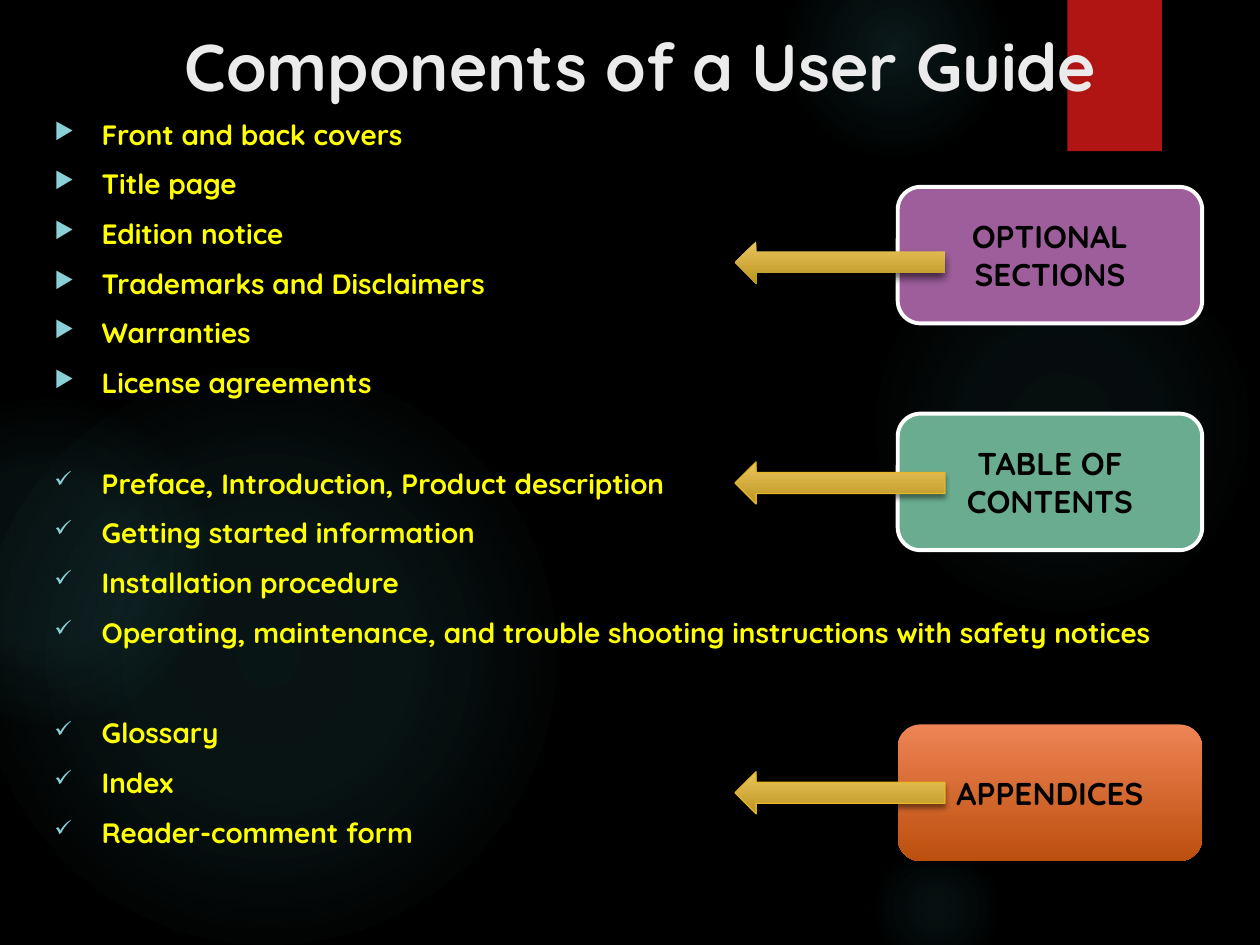
from dataclasses import dataclass

from lxml import etree
from pptx import Presentation
from pptx.dml.color import RGBColor
from pptx.enum.shapes import MSO_SHAPE
from pptx.enum.text import MSO_ANCHOR, MSO_AUTO_SIZE, PP_ALIGN
from pptx.oxml import parse_xml
from pptx.oxml.ns import nsdecls, qn
from pptx.util import Pt

OVAL = MSO_SHAPE.OVAL
RECTANGLE = MSO_SHAPE.RECTANGLE
ROUNDED = MSO_SHAPE.ROUNDED_RECTANGLE
LEFT_ARROW = MSO_SHAPE.LEFT_ARROW
CENTER = PP_ALIGN.CENTER
MIDDLE = MSO_ANCHOR.MIDDLE
NO_AUTOFIT = MSO_AUTO_SIZE.NONE


@dataclass(frozen=True)
class Theme:
    """Colours, type sizes and font of the slide."""
    font: str = "Quicksand"
    background: str = "000000"
    glow: str = "50B9C1"
    ribbon: str = "B01513"
    title: str = "EBEBEB"
    item: str = "FFFF00"
    bullet: str = "8AD0D6"
    label: str = "000000"
    outline: str = "FFFFFF"
    purple: str = "9E5E9B"
    green: str = "6AAC90"
    orange: tuple = ("EE8455", "BC4F0E")
    gold: tuple = ("EBC65F", "BB941F")
    gold_line: str = "E6B729"
    title_size: float = 37.8
    item_size: float = 16
    label_size: float = 18


THEME = Theme()
LINE_PITCH = 29.2
ITEM_GAP = 9.2
INDENT = 27
SOFT_SHADOW = (45, 3, 2)
DEEP_SHADOW = (60, 5, 3)

GLOWS = [
    (496, 132, 222, [(0, 7), (36, 6), (69, 0)]),
    (448, -36, 126, [(0, 14), (36, 7), (73, 0)]),
    (496, 480, 78, [(0, 9), (36, 5), (66, 0)]),
    (-12, 210, 330, [(0, 11), (36, 10), (75, 0)]),
    (-66, 228, 186, [(0, 8), (36, 8), (72, 0)]),
]
GROUPS = [
    ("▶", ["Front and back covers", "Title page", "Edition notice",
           "Trademarks and Disclaimers", "Warranties", "License agreements"]),
    ("✓", ["Preface, Introduction, Product description",
           "Getting started information", "Installation procedure",
           "Operating, maintenance, and trouble shooting instructions with safety notices"]),
    ("✓", ["Glossary", "Index", "Reader-comment form"]),
]
SECTIONS = [
    ("OPTIONAL SECTIONS", 106.8, THEME.purple, THEME.outline, None),
    ("TABLE OF CONTENTS", 236.4, THEME.green, THEME.outline, None),
    ("APPENDICES", 414, THEME.orange, None, DEEP_SHADOW),
]
ARROWS = [
    (138, None, DEEP_SHADOW),
    (264, THEME.gold_line, SOFT_SHADOW),
    (441, THEME.gold_line, SOFT_SHADOW),
]


def rgb(value):
    """Return a colour object for a hex value."""
    return RGBColor.from_string(value)


def set_font(paragraph, size, color):
    """Give a paragraph the bold slide font."""
    font = paragraph.font
    font.name, font.size, font.bold = THEME.font, Pt(size), True
    font.color.rgb = rgb(color)


def set_gradient(shape, stops, direction):
    """Fill a shape with (position, colour, opacity) stops in percent."""
    marks = "".join(
        f'<a:gs pos="{position * 1000}"><a:srgbClr val="{color}">'
        f'<a:alpha val="{opacity * 1000}"/></a:srgbClr></a:gs>'
        for position, color, opacity in stops)
    gradient = parse_xml(
        f'<a:gradFill {nsdecls("a")} rotWithShape="1"><a:gsLst>{marks}</a:gsLst>'
        f'{direction}</a:gradFill>')
    shape.fill.background()
    properties = shape._element.spPr
    properties.replace(properties.find(qn("a:noFill")), gradient)


def set_shadow(shape, opacity, blur, distance):
    """Add a black shadow that falls straight down."""
    effects = shape._element.spPr.find(qn("a:effectLst"))
    effects.append(parse_xml(
        f'<a:outerShdw {nsdecls("a")} blurRad="{Pt(blur)}" dist="{Pt(distance)}" '
        f'dir="5400000" rotWithShape="0"><a:srgbClr val="000000">'
        f'<a:alpha val="{opacity * 1000}"/></a:srgbClr></a:outerShdw>'))


def add_panel(slide, kind, box, fill, line=None, line_width=0.75, shadow=None):
    """Add a preset shape with a plain or two-colour vertical fill."""
    shape = slide.shapes.add_shape(kind, *map(Pt, box))
    shape.shadow.inherit = False
    if isinstance(fill, tuple):
        set_gradient(shape, [(0, fill[0], 100), (100, fill[1], 100)],
                     '<a:lin ang="5400000" scaled="0"/>')
    else:
        shape.fill.solid()
        shape.fill.fore_color.rgb = rgb(fill)
    if line:
        shape.line.color.rgb = rgb(line)
        shape.line.width = Pt(line_width)
    else:
        shape.line.fill.background()
    if shadow:
        set_shadow(shape, *shadow)
    return shape


def add_glow(slide, left, top, size, stops):
    """Add a faint round light that fades to its edge."""
    glow = add_panel(slide, OVAL, (left, top, size, size), THEME.glow)
    set_gradient(glow, [(position, THEME.glow, opacity) for position, opacity in stops],
                 '<a:path path="circle"><a:fillToRect l="50000" t="50000" '
                 'r="50000" b="50000"/></a:path>')


def place_title(slide, text):
    """Format the title placeholder and bring it above the backdrop."""
    title = slide.shapes.title
    slide.shapes._spTree.append(title._element)
    title.left, title.top, title.width, title.height = map(Pt, (42, 12, 648, 50.4))
    frame = title.text_frame
    frame.text = text
    frame.auto_size, frame.vertical_anchor = NO_AUTOFIT, MIDDLE
    frame.paragraphs[0].alignment = CENTER
    set_font(frame.paragraphs[0], THEME.title_size, THEME.title)


def set_bullet(paragraph, symbol):
    """Give a paragraph a hanging coloured bullet."""
    properties = paragraph._p.get_or_add_pPr()
    properties.set("marL", str(Pt(INDENT)))
    properties.set("indent", str(-Pt(INDENT)))
    color = etree.SubElement(properties, qn("a:buClr"))
    etree.SubElement(color, qn("a:srgbClr"), val=THEME.bullet)
    etree.SubElement(properties, qn("a:buSzPct"), val="80000")
    etree.SubElement(properties, qn("a:buChar"), char=symbol)


def add_component_list(slide):
    """Add the bulleted groups, one line apart from each other."""
    frame = slide.shapes.add_textbox(*map(Pt, (24, 63.4, 666, 458.6))).text_frame
    frame.word_wrap = True
    paragraph = frame.paragraphs[0]
    for group, (symbol, items) in enumerate(GROUPS):
        for row, item in enumerate(items):
            if group or row:
                paragraph = frame.add_paragraph()
                paragraph.space_before = Pt(ITEM_GAP if row else ITEM_GAP + LINE_PITCH)
            paragraph.text = item
            set_bullet(paragraph, symbol)
            set_font(paragraph, THEME.item_size, THEME.item)


def add_section(slide, text, top, fill, line, shadow):
    """Add a rounded section label."""
    shape = add_panel(slide, ROUNDED, (513, top, 174, 78), fill, line, 2.25, shadow)
    frame = shape.text_frame
    frame.word_wrap, frame.vertical_anchor = True, MIDDLE
    frame.text = text
    frame.paragraphs[0].alignment = CENTER
    set_font(frame.paragraphs[0], THEME.label_size, THEME.label)


def main():
    """Build and save the slide."""
    presentation = Presentation()
    presentation.slide_width, presentation.slide_height = Pt(720), Pt(540)
    slide = presentation.slides.add_slide(presentation.slide_layouts[5])
    slide.background.fill.solid()
    slide.background.fill.fore_color.rgb = rgb(THEME.background)
    for glow in GLOWS:
        add_glow(slide, *glow)
    add_panel(slide, RECTANGLE, (610, 0, 54, 86.4), THEME.ribbon, shadow=SOFT_SHADOW)
    place_title(slide, "Components of a User Guide")
    add_component_list(slide)
    for section in SECTIONS:
        add_section(slide, *section)
    for top, line, shadow in ARROWS:
        add_panel(slide, LEFT_ARROW, (420, top, 120, 24), THEME.gold, line, shadow=shadow)
    presentation.save("out.pptx")


if __name__ == "__main__":
    main()
